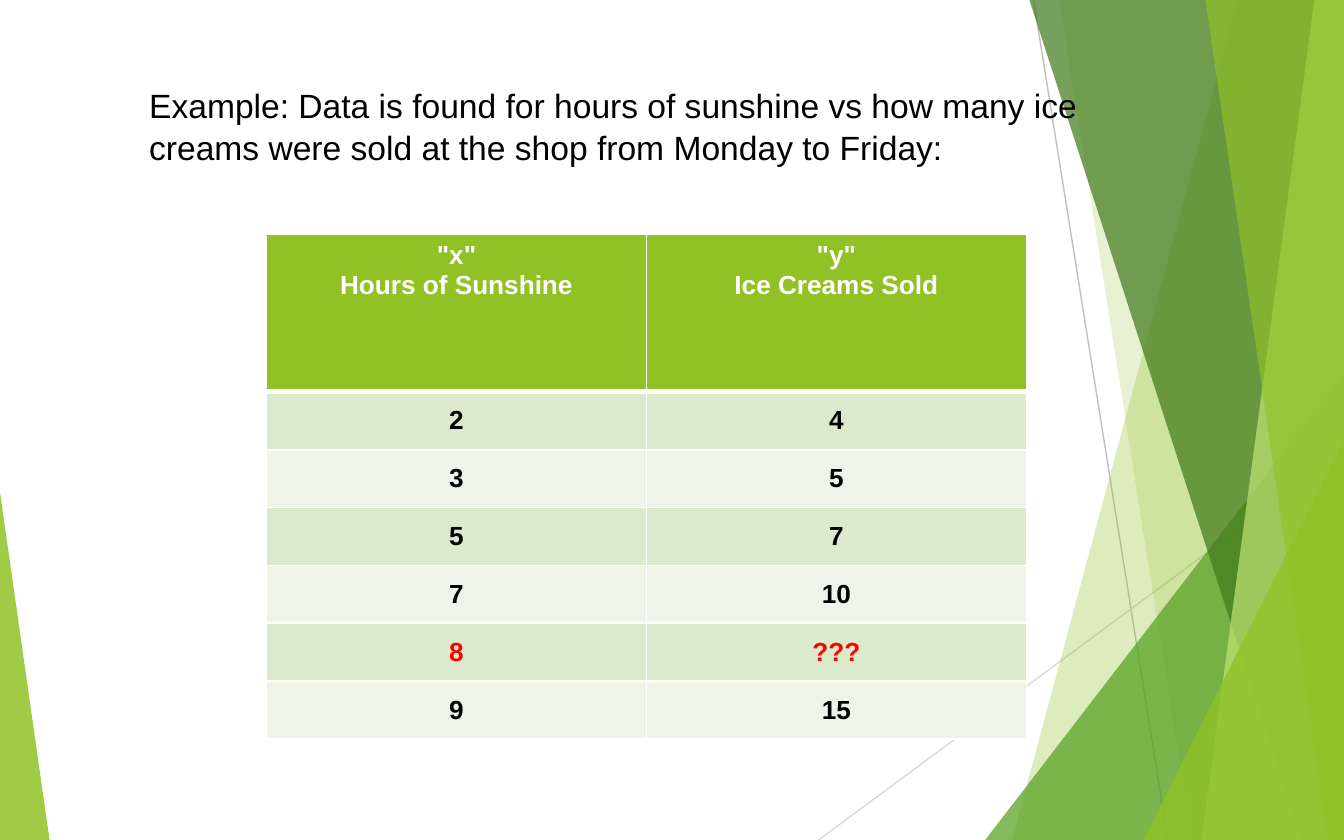
from lxml.etree import SubElement
from pptx import Presentation
from pptx.dml.color import RGBColor
from pptx.enum.shapes import MSO_CONNECTOR, MSO_SHAPE
from pptx.enum.text import MSO_ANCHOR, MSO_AUTO_SIZE, PP_ALIGN
from pptx.oxml.ns import qn
from pptx.util import Pt

THEME = {
    "font": "Arial", "title_size": 18, "table_size": 14,
    "text": "000000", "white": "FFFFFF", "highlight": "FF0000",
    "lime": "90C226", "green": "54A021", "forest": "3F7819", "pale": "C0E474",
    "bands": ("DBE9CD", "EEF4E8"), "dark_rule": "BFBFBF", "light_rule": "D9D9D9",
}
WIDTH, HEIGHT = 720, 450


def paint(shape, color, opacity):
    """Give a decorative shape a translucent fill without outline or shadow."""
    shape.shadow.inherit = False
    shape.line.fill.background()
    shape.fill.solid()
    shape.fill.fore_color.rgb = RGBColor.from_string(color)
    color_element = shape.fill._xPr.find(qn("a:solidFill"))[0]
    SubElement(color_element, qn("a:alpha"), val=str(opacity * 1000))


def set_border(cell, side, width):
    """Draw one white cell border."""
    properties = cell._tc.get_or_add_tcPr()
    line = SubElement(properties, qn(f"a:ln{side}"), w=str(Pt(width)))
    fill = SubElement(line, qn("a:solidFill"))
    SubElement(fill, qn("a:srgbClr"), val=THEME["white"])


presentation = Presentation()
presentation.slide_width, presentation.slide_height = Pt(WIDTH), Pt(HEIGHT)
slide = presentation.slides.add_slide(presentation.slide_layouts[5])

# Thin background rules
for x1, y1, x2, y2, color in (
    (553.7, 0, 625.7, HEIGHT, THEME["dark_rule"]),
    (WIDTH, 241.9, 438.5, HEIGHT, THEME["light_rule"]),
):
    rule = slide.shapes.add_connector(MSO_CONNECTOR.STRAIGHT, Pt(x1), Pt(y1), Pt(x2), Pt(y2))
    rule.line.color.rgb = RGBColor.from_string(color)
    rule.line.width = Pt(0.75)
    SubElement(rule._element.spPr, qn("a:effectLst"))

# Facets: bands run from a top x to a bottom x and fill to the right edge;
# triangles are (left, width, height, apex) and stand on the bottom edge
for kind, geometry, color, opacity in (
    ("band", (663.1, 542.2), THEME["lime"], 30),
    ("band", (567.4, 638.6), THEME["lime"], 20),
    ("triangle", (527.8, 192.2, 249.8, 1), THEME["green"], 72),
    ("band", (551.5, 697), THEME["forest"], 70),
    ("band", (704.2, 643.7), THEME["pale"], 70),
    ("band", (645.8, 711.4), THEME["lime"], 65),
    ("triangle", (612.7, 107.3, 214.6, 1), THEME["lime"], 80),
    ("triangle", (0, 26.6, 186.5, 0), THEME["lime"], 85),
):
    if kind == "band":
        top_x, bottom_x = geometry
        builder = slide.shapes.build_freeform(Pt(top_x), 0)
        builder.add_line_segments(
            [(Pt(WIDTH), 0), (Pt(WIDTH), Pt(HEIGHT)), (Pt(bottom_x), Pt(HEIGHT))], close=True)
        facet = builder.convert_to_shape()
    else:
        left, width, height, apex = geometry
        facet = slide.shapes.add_shape(
            MSO_SHAPE.ISOSCELES_TRIANGLE, Pt(left), Pt(HEIGHT - height), Pt(width), Pt(height))
        facet.adjustments[0] = apex
    paint(facet, color, opacity)

# Title, raised above the facets
title = slide.shapes.title
slide.shapes._spTree.append(title._element)
title.left, title.top, title.width, title.height = Pt(72.7), Pt(6.5), Pt(584.6), Pt(118.8)
frame = title.text_frame
frame.text = ("Example: Data is found for hours of sunshine vs how many ice "
              "creams were sold at the shop from Monday to Friday:")
frame.word_wrap = True
frame.auto_size = MSO_AUTO_SIZE.NONE
frame.vertical_anchor = MSO_ANCHOR.TOP
frame.margin_top, frame.margin_right = Pt(38.5), Pt(30)
paragraph = frame.paragraphs[0]
paragraph.alignment = PP_ALIGN.LEFT
paragraph.line_spacing = 1.03
paragraph.font.name = THEME["font"]
paragraph.font.size = Pt(THEME["title_size"])
paragraph.font.color.rgb = RGBColor.from_string(THEME["text"])

# Data table
rows = (
    ('"x"\vHours of Sunshine', '"y"\vIce Creams Sold'),
    ("2", "4"), ("3", "5"), ("5", "7"), ("7", "10"), ("8", "???"), ("9", "15"),
)
HEADER_HEIGHT, ROW_HEIGHT = 84.5, 31
table = slide.shapes.add_table(
    len(rows), 2, Pt(142.8), Pt(125.5), Pt(407), Pt(HEADER_HEIGHT + 6 * ROW_HEIGHT)).table
for row_index, values in enumerate(rows):
    is_header = row_index == 0
    table.rows[row_index].height = Pt(HEADER_HEIGHT if is_header else ROW_HEIGHT)
    if is_header:
        fill_color, text_color = THEME["lime"], THEME["white"]
    else:
        fill_color = THEME["bands"][(row_index - 1) % 2]
        text_color = THEME["highlight"] if "???" in values else THEME["text"]
    for column_index, value in enumerate(values):
        cell = table.cell(row_index, column_index)
        for side in "LRTB":
            under_header = (row_index, side) in ((0, "B"), (1, "T"))
            set_border(cell, side, 3 if under_header else 1)
        cell.fill.solid()
        cell.fill.fore_color.rgb = RGBColor.from_string(fill_color)
        if not is_header:
            cell.vertical_anchor = MSO_ANCHOR.MIDDLE
            cell.margin_left = cell.margin_right = Pt(3.6)
        cell.text_frame.text = value
        paragraph = cell.text_frame.paragraphs[0]
        paragraph.alignment = PP_ALIGN.CENTER
        paragraph.font.name = THEME["font"]
        paragraph.font.size = Pt(THEME["table_size"])
        paragraph.font.bold = True
        paragraph.font.color.rgb = RGBColor.from_string(text_color)

presentation.save("out.pptx")
